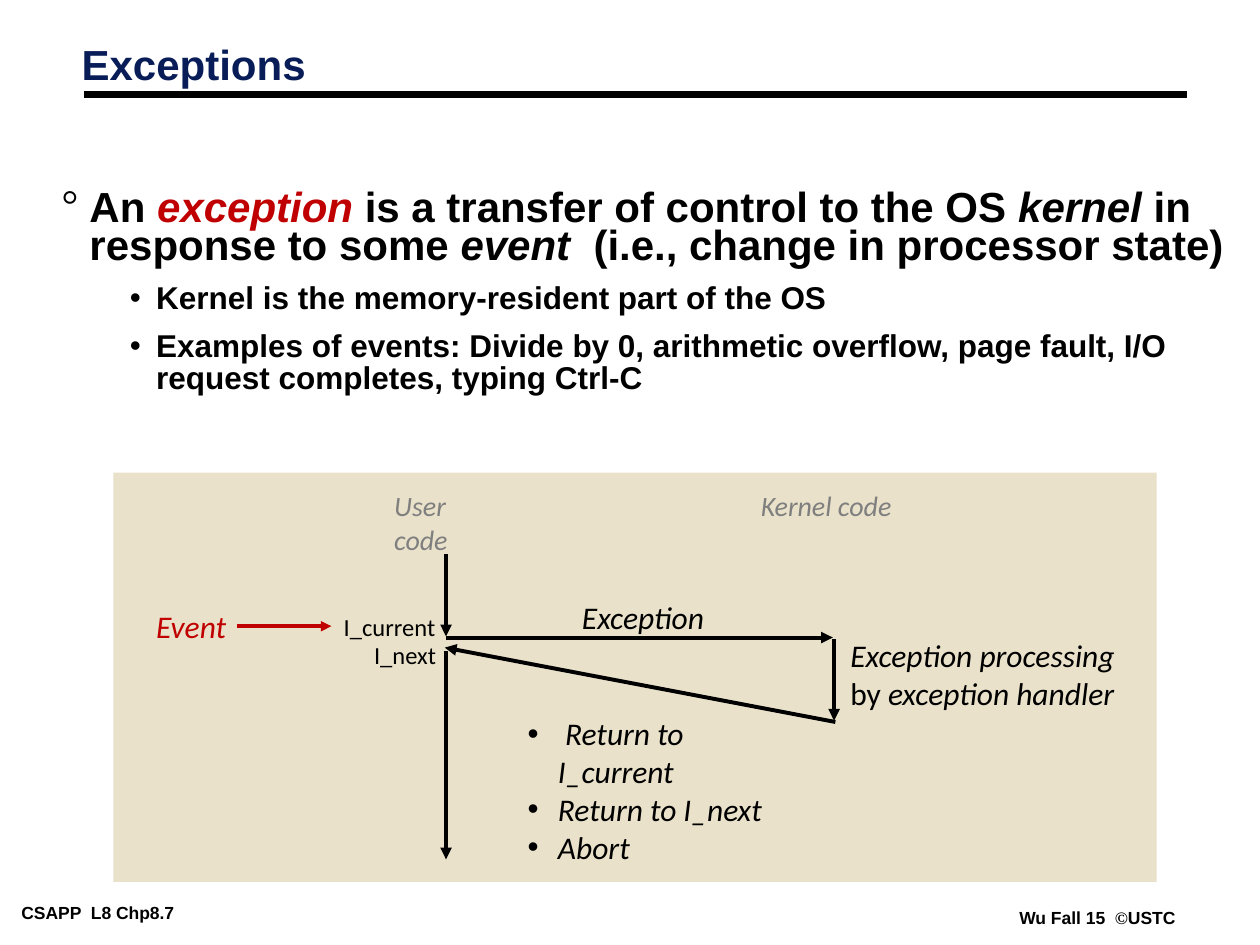
import pptx
import pptx.util
import pptx.dml.color
import pptx.enum.shapes
import pptx.enum.text
import pptx.oxml
import pptx.oxml.ns
from pptx.util import Inches

COLORS = {"ink": "000000", "title": "081D58", "accent": "C00000",
          "muted": "7F7F7F", "panel": "E9E1C9"}
TIGHT = (0.07, 0.03)
NORMAL = (0.1, 0.05)


def rgb(name):
    return pptx.dml.color.RGBColor.from_string(COLORS[name])


def add_bullet(p, char, font, margin, hang):
    pPr = p._p.get_or_add_pPr()
    pPr.set("marL", str(Inches(margin)))
    pPr.set("indent", str(Inches(-hang)))
    for tag, attr, value in (("buFont", "typeface", font), ("buChar", "char", char)):
        el = pptx.oxml.parse_xml(f'<a:{tag} {pptx.oxml.ns.nsdecls("a")} {attr}="{value}"/>')
        pPr.append(el)


def add_text(s, box, paragraphs, size=18, font="Calibri", color="ink", bold=False,
             italic=False, wrap=False, insets=NORMAL):
    """Each paragraph is a dict: runs as (text, overrides), and its own format."""
    if isinstance(paragraphs, str):
        paragraphs = [{"runs": [(paragraphs, {})]}]
    sp = s.shapes.add_textbox(*map(Inches, box))
    tf = sp.text_frame
    tf.word_wrap = wrap
    tf.vertical_anchor = pptx.enum.text.MSO_ANCHOR.TOP
    tf.margin_left = tf.margin_right = Inches(insets[0])
    tf.margin_top = tf.margin_bottom = Inches(insets[1])
    for i, item in enumerate(paragraphs):
        p = tf.paragraphs[0] if i == 0 else tf.add_paragraph()
        p.level = item.get("level", 0)
        if "bullet" in item:
            add_bullet(p, *item["bullet"])
        if "spacing" in item:
            p.line_spacing = item["spacing"]
        if "before" in item:
            p.space_before = pptx.util.Pt(item["before"])
        for text, over in item["runs"]:
            r = p.add_run()
            r.text = text
            r.font.size = pptx.util.Pt(item.get("size", size))
            r.font.name = over.get("font", font)
            r.font.bold = bold
            r.font.italic = over.get("italic", italic)
            r.font.color.rgb = rgb(over.get("color", color))
    return sp


def add_line(s, start, end, color="ink", width=2.25, arrow=True):
    cx = s.shapes.add_connector(pptx.enum.shapes.MSO_CONNECTOR.STRAIGHT,
                                *map(Inches, (*start, *end)))
    cx.line.color.rgb = rgb(color)
    cx.line.width = pptx.util.Pt(width)
    ns = pptx.oxml.ns.nsdecls("a")
    if arrow:
        cx.line._get_or_add_ln().append(
            pptx.oxml.parse_xml(f'<a:tailEnd {ns} type="triangle"/>'))
    cx._element.spPr.append(pptx.oxml.parse_xml(f"<a:effectLst {ns}/>"))


def add_header(s, x, y, w):
    add_line(s, (x + 0.12, y + 0.44), (x + w, y + 0.44), width=4.5, arrow=False)
    add_text(s, (x, y, 3.67, 0.63), [{"runs": [("Exceptions", {})], "spacing": 0.87}],
             size=24, font="Arial", color="title", bold=True, wrap=True)


def add_body(s, x, y, w, h):
    slanted = {"italic": True}
    sub = {"level": 1, "bullet": ("•", "Arial", 0.75, 0.21),
           "spacing": 0.85, "before": 9, "size": 18}
    definition = [("An ", {}), ("exception", {"italic": True, "color": "accent"}),
                  (" is a transfer of control to the OS ", {}), ("kernel", slanted),
                  (" in response to some ", {}), ("event", slanted),
                  ("  (i.e., change in processor state)", {})]
    details = ["Kernel is the memory-resident part of the OS",
               "Examples of events: Divide by 0, arithmetic overflow, page fault, "
               "I/O request completes, typing Ctrl-C"]
    add_text(s, (x, y, w, h),
             [{"runs": definition, "spacing": 0.75,
               "bullet": ("°", "Times New Roman", 0.22, 0.22)}]
             + [{"runs": [(text, {})], **sub} for text in details],
             size=24, font="Arial", bold=True, wrap=True, insets=TIGHT)


def add_diagram(s, x, y, w, h):
    panel = s.shapes.add_shape(pptx.enum.shapes.MSO_SHAPE.RECTANGLE,
                               *map(Inches, (x, y, w, h)))
    panel.shadow.inherit = False
    panel.fill.solid()
    panel.fill.fore_color.rgb = rgb("panel")
    panel.line.fill.background()

    # Column headings
    for dx, width, text in ((2.13, 1.08, "User code"), (5.04, 1.24, "Kernel code")):
        add_text(s, (x + dx, y + 0.08, width, 0.36), text,
                 size=16, color="muted", italic=True)

    # Control flow between user and kernel code
    user, kernel = x + 2.64, x + 5.72
    flow = [((user, y + 0.65), (user, y + 1.3)),
            ((user, y + 1.31), (kernel - 0.01, y + 1.31)),
            ((kernel, y + 1.32), (kernel, y + 1.97)),
            ((kernel + 0.01, y + 1.98), (user - 0.01, y + 1.39)),
            ((user, y + 1.42), (user, y + 3.07))]
    for start, end in flow:
        add_line(s, start, end)

    # Labels on the flow
    add_text(s, (x + 3.62, y + 0.95, 1.18, 0.4), "Exception", italic=True)
    add_text(s, (x + 5.75, y + 1.25, 2.35, 0.7),
             [{"runs": [("Exception processing", {})]},
              {"runs": [("by ", {"italic": False}), ("exception handler", {})]}],
             italic=True)
    add_text(s, (x + 3.19, y + 1.87, 2.27, 1.3),
             [{"runs": [(text, {})], "bullet": ("•", "Arial", 0.24, 0.24)}
              for text in (" Return to I_current", "Return to I_next", "Abort")],
             italic=True, wrap=True)

    # Event and the instructions it falls between
    add_text(s, (x + 0.24, y + 1.02, 0.88, 0.4), "Event", color="accent", italic=True)
    for dx, dy, width, text in ((1.73, 1.06, 0.93, "I_current"),
                                (1.97, 1.28, 0.69, "I_next")):
        add_text(s, (x + dx, y + dy, width, 0.34), text, size=14)
    add_line(s, (x + 0.98, y + 1.22), (x + 1.73, y + 1.22), color="accent", width=2)


def add_footer(s, x, y):
    style = {"size": 10, "font": "Arial", "bold": True, "insets": TIGHT}
    add_text(s, (x, y, 1.95, 0.22), "CSAPP  L8 Chp8.7", **style)
    add_text(s, (x + 7.92, y + 0.04, 1.38, 0.22),
             [{"runs": [("Wu Fall 15  ", {}), ("©", {"font": "Times New Roman"}),
                        ("USTC", {})]}], **style)


def main():
    prs = pptx.Presentation()
    prs.slide_width, prs.slide_height = Inches(10), Inches(7.5)
    s = prs.slides.add_slide(prs.slide_layouts[6])
    add_footer(s, 0.1, 7.13)
    add_header(s, 0.55, 0.31, 8.87)
    add_diagram(s, 0.9, 3.75, 8.28, 3.25)
    add_body(s, 0.42, 1.5, 9.5, 2.2)
    prs.save("out.pptx")


if __name__ == "__main__":
    main()
